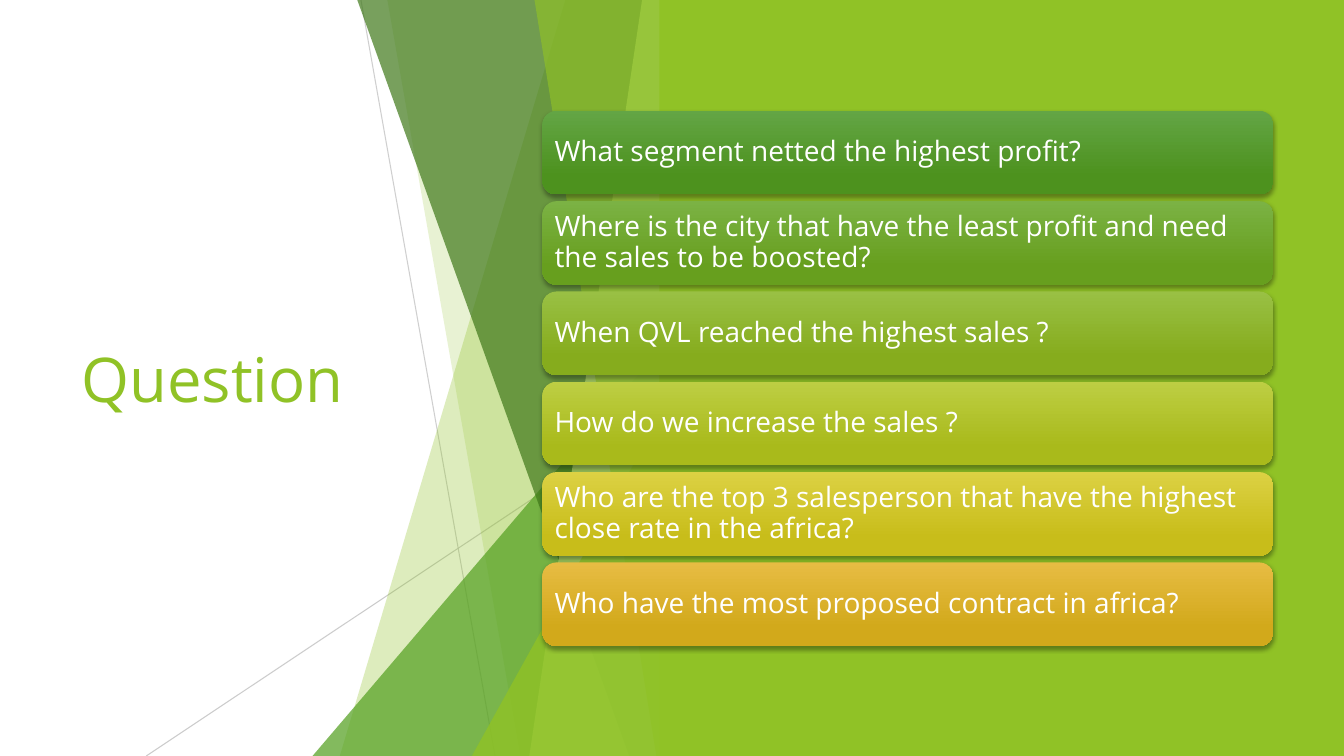
import pptx
import pptx.dml.color
import pptx.enum.shapes
import pptx.enum.text
import pptx.oxml
import pptx.oxml.ns
import pptx.util
from pptx.util import Inches

COLORS = {"white": "FFFFFF", "lime": "90C226", "green": "54A021",
          "forest": "3F7819", "pale": "C0E474", "gray": "BFBFBF", "black": "000000"}
FONT = "Open Sans"
DRAWING = 'xmlns:a="http://schemas.openxmlformats.org/drawingml/2006/main"'
SHAPES = pptx.enum.shapes.MSO_SHAPE


def paint(fill_or_line, color, opacity):
    """Give a shape fill or a line fill a solid colour with an opacity in percent."""
    fill_or_line.solid()
    fill_or_line.fore_color.rgb = pptx.dml.color.RGBColor.from_string(color)
    if opacity < 100:
        element = fill_or_line._xPr.find(".//" + pptx.oxml.ns.qn("a:srgbClr"))
        element.append(pptx.oxml.parse_xml(f'<a:alpha {DRAWING} val="{opacity * 1000}"/>'))


def write(shape, text, size, color, inset):
    """Put left-aligned, vertically centred text into a shape."""
    frame = shape.text_frame
    frame_format = {"word_wrap": True, "vertical_anchor": pptx.enum.text.MSO_ANCHOR.MIDDLE,
                    "margin_left": inset, "margin_right": inset,
                    "margin_top": inset, "margin_bottom": inset}
    for name, value in frame_format.items():
        setattr(frame, name, value)
    paragraph = frame.paragraphs[0]
    paragraph.text = text
    paragraph.alignment = pptx.enum.text.PP_ALIGN.LEFT
    paragraph.line_spacing = 0.9
    font_format = {"name": FONT, "size": pptx.util.Pt(size)}
    for name, value in font_format.items():
        setattr(paragraph.font, name, value)
    paragraph.font.color.rgb = pptx.dml.color.RGBColor.from_string(color)


presentation = pptx.Presentation()
presentation.slide_width = Inches(13.33)
presentation.slide_height = Inches(7.5)
slide = presentation.slides.add_slide(presentation.slide_layouts[6])
paint(slide.background.fill, COLORS["white"], 100)

# Title
title = slide.shapes.add_textbox(Inches(0.71), Inches(1.51), Inches(3.88), Inches(4.48))
write(title, "Question", 44, COLORS["lime"], Inches(0.1))
title.text_frame.paragraphs[0].line_spacing = 1.0

# Thin crossing lines: start, end, opacity
for x1, y1, x2, y2, opacity in [(3.58, 0, 4.91, 7.5, 75), (6.66, 4.03, 1.45, 7.5, 80)]:
    line = slide.shapes.add_connector(pptx.enum.shapes.MSO_CONNECTOR.STRAIGHT,
                                      Inches(x1), Inches(y1), Inches(x2), Inches(y2))
    line.line.width = pptx.util.Pt(0.75)
    paint(line.line.fill, COLORS["gray"], opacity)
    line._element.spPr.append(pptx.oxml.parse_xml(f"<a:effectLst {DRAWING}/>"))

# Translucent facets share a right edge. Slanted ones give the top and bottom x of
# their left edge; triangles give the left x and the top y.
FACET_RIGHT, FACET_TOP, FACET_BOTTOM = 6.66, -0.01, 7.5
facets = [
    ("slant", 5.61, 3.37, "lime", 30),
    ("slant", 3.84, 5.16, "lime", 20),
    ("triangle", 3.1, 3.33, "green", 72),
    ("slant", 3.54, 6.24, "forest", 70),
    ("slant", 6.37, 5.25, "pale", 70),
    ("slant", 5.3, 6.51, "lime", 65),
    ("triangle", 4.68, 3.93, "lime", 80),
]
for kind, first, second, color, opacity in facets:
    if kind == "slant":
        builder = slide.shapes.build_freeform(Inches(first), Inches(FACET_TOP))
        corners = [(FACET_RIGHT, FACET_TOP), (FACET_RIGHT, FACET_BOTTOM), (second, FACET_BOTTOM)]
        builder.add_line_segments([(Inches(x), Inches(y)) for x, y in corners], close=True)
        facet = builder.convert_to_shape()
    else:
        facet = slide.shapes.add_shape(
            SHAPES.ISOSCELES_TRIANGLE, Inches(first), Inches(second),
            Inches(FACET_RIGHT - first), Inches(FACET_BOTTOM - second))
        facet.adjustments[0] = 1
    facet.shadow.inherit = False
    facet.line.fill.background()
    paint(facet.fill, COLORS[color], opacity)

# Right panel
panel = slide.shapes.add_shape(SHAPES.RECTANGLE, Inches(6.54), 0, Inches(6.79), Inches(7.5))
panel.shadow.inherit = False
panel.line.fill.background()
paint(panel.fill, COLORS["lime"], 100)

# Question cards: text, gradient top, gradient bottom
questions = [
    ("What segment netted the highest profit?", "63A545", "4D921E"),
    ("Where is the city that have the least profit and need the sales to be boosted?",
     "7BB244", "679F1E"),
    ("When QVL reached the highest sales ?", "99C044", "86AC1D"),
    ("How do we increase the sales ?", "BDCE43", "A9BA1B"),
    ("Who are the top 3 salesperson that have the highest close rate in the africa?",
     "DCD143", "C8BD1A"),
    ("Who have the most proposed contract in africa?", "E7BC43", "D2A91B"),
]
FIRST_CARD_TOP, LAST_CARD_TOP = 1.1, 5.58
card_pitch = (LAST_CARD_TOP - FIRST_CARD_TOP) / (len(questions) - 1)
for index, (question, top_color, bottom_color) in enumerate(questions):
    card = slide.shapes.add_shape(
        SHAPES.ROUNDED_RECTANGLE, Inches(5.38), Inches(FIRST_CARD_TOP + index * card_pitch),
        Inches(7.25), Inches(0.83))
    card.line.fill.background()
    card.fill.gradient()
    card.fill.gradient_angle = 270
    stops = [(0, top_color), (0.78, bottom_color)]
    for stop, (position, color) in zip(card.fill.gradient_stops, stops):
        stop.position = position
        stop.color.rgb = pptx.dml.color.RGBColor.from_string(color)
    card.shadow.inherit = False
    effects = card._element.spPr.find(pptx.oxml.ns.qn("a:effectLst"))
    effects.append(pptx.oxml.parse_xml(
        f'<a:outerShdw {DRAWING} blurRad="{pptx.util.Pt(3)}" dist="{pptx.util.Pt(2)}" '
        f'dir="5400000" rotWithShape="0"><a:srgbClr val="{COLORS["black"]}">'
        '<a:alpha val="35000"/></a:srgbClr></a:outerShdw>'))
    write(card, question, 20, COLORS["white"], Inches(0.08))

presentation.save("out.pptx")
